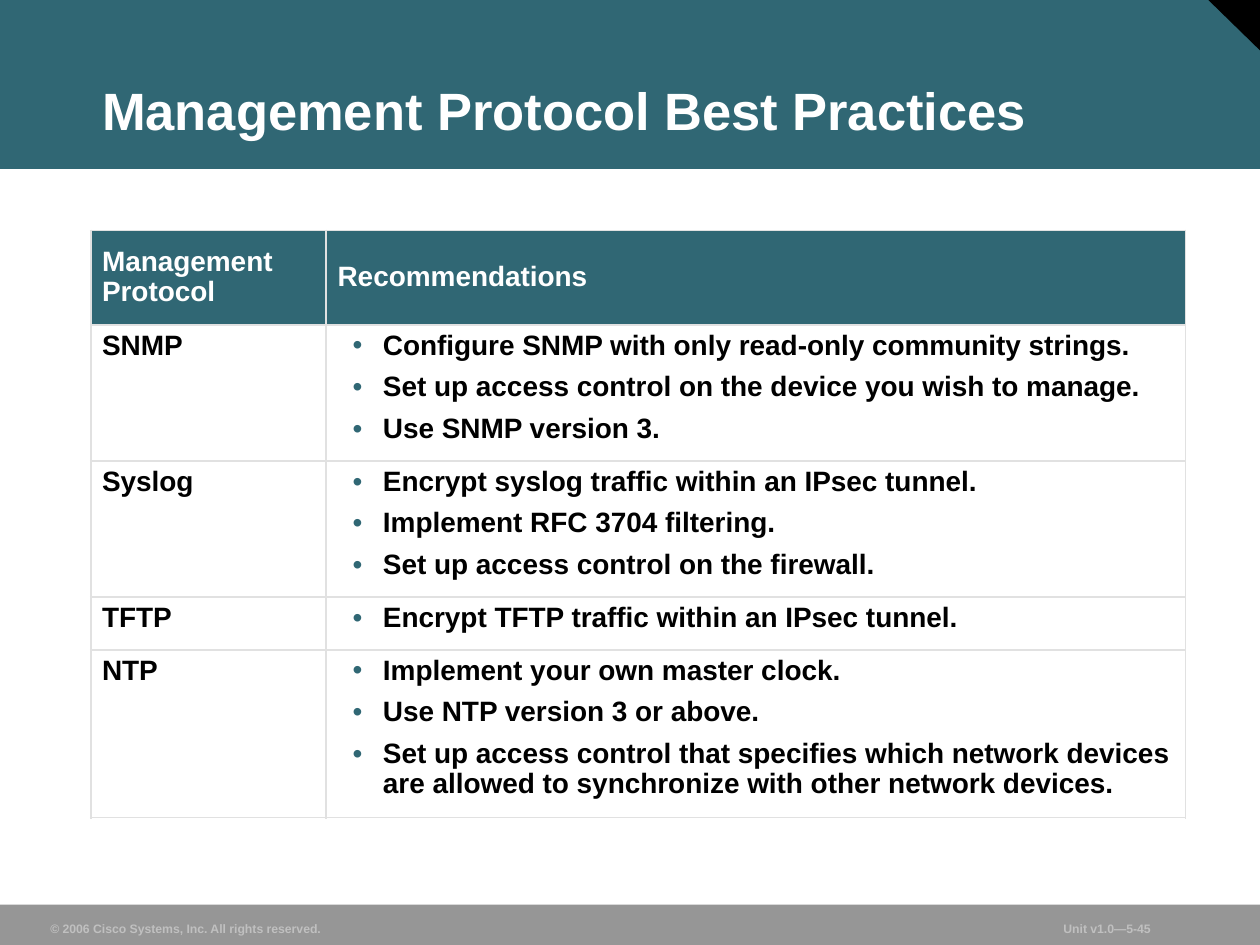
import lxml.etree
import pptx
import pptx.dml.color
import pptx.enum.shapes
import pptx.enum.text
import pptx.oxml.ns
import pptx.util

Inches = pptx.util.Inches
Pt = pptx.util.Pt
RGBColor = pptx.dml.color.RGBColor
Shape = pptx.enum.shapes.MSO_SHAPE
Anchor = pptx.enum.text.MSO_ANCHOR
qn = pptx.oxml.ns.qn

TEAL = RGBColor(0x30, 0x67, 0x74)
BLACK = RGBColor(0, 0, 0)
WHITE = RGBColor(0xFF, 0xFF, 0xFF)
GRAY = RGBColor(0x96, 0x96, 0x96)
SILVER = RGBColor(0xC0, 0xC0, 0xC0)
RULE = RGBColor(0xE1, 0xE1, 0xE1)

HEADINGS = ("Management Protocol", "Recommendations")
PROTOCOLS = {
    "SNMP": (
        "Configure SNMP with only read-only community strings.",
        "Set up access control on the device you wish to manage.",
        "Use SNMP version 3.",
    ),
    "Syslog": (
        "Encrypt syslog traffic within an IPsec tunnel.",
        "Implement RFC 3704 filtering.",
        "Set up access control on the firewall.",
    ),
    "TFTP": ("Encrypt TFTP traffic within an IPsec tunnel.",),
    "NTP": (
        "Implement your own master clock.",
        "Use NTP version 3 or above.",
        "Set up access control that specifies which network devices "
        "are allowed to synchronize with other network devices.",
    ),
}
COLUMN_WIDTHS = (1.87, 6.82)
ROW_HEIGHTS = (0.75, 1.08, 1.08, 0.42, 1.33)


def add_solid_fill(parent, color):
    fill = lxml.etree.SubElement(parent, qn("a:solidFill"))
    lxml.etree.SubElement(fill, qn("a:srgbClr"), val=str(color))


class SlideBuilder:
    font_name = "Arial"
    table_size = 16

    def __init__(self, slide):
        self.slide = slide

    def style(self, paragraph, size, color):
        paragraph.font.name = self.font_name
        paragraph.font.size = Pt(size)
        paragraph.font.bold = True
        paragraph.font.color.rgb = color

    def frame(self, text_frame, anchor):
        text_frame.margin_left = text_frame.margin_right = Inches(0.09)
        text_frame.margin_top = text_frame.margin_bottom = Inches(0.04)
        text_frame.vertical_anchor = anchor

    def block(self, kind, left, top, width, height, color, rotation=0):
        block = self.slide.shapes.add_shape(
            kind, Inches(left), Inches(top), Inches(width), Inches(height))
        block.rotation = rotation
        block.shadow.inherit = False
        block.fill.solid()
        block.fill.fore_color.rgb = color
        block.line.fill.background()

    def footer(self, text, left, width):
        footer = self.slide.shapes.add_textbox(
            Inches(left), Inches(7.26), Inches(width), Inches(0.21))
        self.frame(footer.text_frame, Anchor.BOTTOM)
        footer.text_frame.word_wrap = False
        footer.text_frame.text = text
        self.style(footer.text_frame.paragraphs[0], 7, SILVER)

    def title(self, text):
        title = self.slide.shapes.title
        title.left, title.top = Inches(0.72), Inches(0.25)
        title.width, title.height = Inches(8.91), Inches(0.92)
        self.frame(title.text_frame, Anchor.BOTTOM)
        title.text_frame.auto_size = pptx.enum.text.MSO_AUTO_SIZE.NONE
        title.text_frame.text = text
        heading = title.text_frame.paragraphs[0]
        heading.alignment = pptx.enum.text.PP_ALIGN.LEFT
        heading.line_spacing = 0.9
        self.style(heading, 30, WHITE)
        # The placeholder comes first, so lift it above the band
        self.slide.shapes._spTree.append(title._element)

    def bullet(self, paragraph):
        paragraph.level = 1
        properties = paragraph._p.get_or_add_pPr()
        properties.set("marL", str(Inches(0.36)))
        properties.set("indent", str(Inches(-0.24)))
        color = lxml.etree.SubElement(properties, qn("a:buClr"))
        lxml.etree.SubElement(color, qn("a:srgbClr"), val=str(TEAL))
        lxml.etree.SubElement(properties, qn("a:buFont"), typeface=self.font_name)
        lxml.etree.SubElement(properties, qn("a:buChar"), char="•")

    def cell(self, cell, lines, color, fill, anchor=Anchor.TOP, bulleted=False):
        cell.margin_left = cell.margin_right = Inches(0.09)
        cell.margin_top = cell.margin_bottom = Inches(0.05)
        cell.vertical_anchor = anchor
        # Borders go before the fill
        for side in ("a:lnL", "a:lnR", "a:lnT", "a:lnB"):
            border = lxml.etree.SubElement(
                cell._tc.get_or_add_tcPr(), qn(side), w=str(Pt(1.08)))
            add_solid_fill(border, RULE)
        cell.fill.solid()
        cell.fill.fore_color.rgb = fill
        cell.text_frame.text = "\n".join(lines)
        for index, paragraph in enumerate(cell.text_frame.paragraphs):
            paragraph.line_spacing = 0.95
            if index:
                paragraph.space_before = Pt(7)
            if bulleted:
                self.bullet(paragraph)
            self.style(paragraph, self.table_size, color)

    def table(self, headings, protocols):
        table = self.slide.shapes.add_table(
            len(ROW_HEIGHTS), len(COLUMN_WIDTHS), Inches(0.72), Inches(1.83),
            Inches(sum(COLUMN_WIDTHS)), Inches(sum(ROW_HEIGHTS))).table
        table.first_row = table.horz_banding = False
        for column, width in zip(table.columns, COLUMN_WIDTHS):
            column.width = Inches(width)
        for row, height in zip(table.rows, ROW_HEIGHTS):
            row.height = Inches(height)
        for column, heading in enumerate(headings):
            self.cell(table.cell(0, column), [heading], WHITE, TEAL, Anchor.MIDDLE)
        for row, (protocol, advice) in enumerate(protocols.items(), start=1):
            self.cell(table.cell(row, 0), [protocol], BLACK, WHITE)
            self.cell(table.cell(row, 1), advice, BLACK, WHITE, bulleted=True)


def main():
    deck = pptx.Presentation()
    deck.slide_width, deck.slide_height = Inches(10), Inches(7.5)
    builder = SlideBuilder(deck.slides.add_slide(deck.slide_layouts[5]))

    # Header band, corner and footer band
    builder.block(Shape.RECTANGLE, 0, 0, 10, 1.34, TEAL)
    builder.block(Shape.RIGHT_TRIANGLE, 9.58, -0.01, 0.42, 0.41, BLACK, rotation=180)
    builder.block(Shape.RECTANGLE, 0, 7.18, 10, 0.32, GRAY)
    builder.footer("© 2006 Cisco Systems, Inc. All rights reserved.", 0.31, 2.33)
    builder.footer("Unit v1.0—5-45", 8.35, 1.3)

    # Title and recommendations
    builder.title("Management Protocol Best Practices")
    builder.table(HEADINGS, PROTOCOLS)

    deck.save("out.pptx")


if __name__ == "__main__":
    main()
